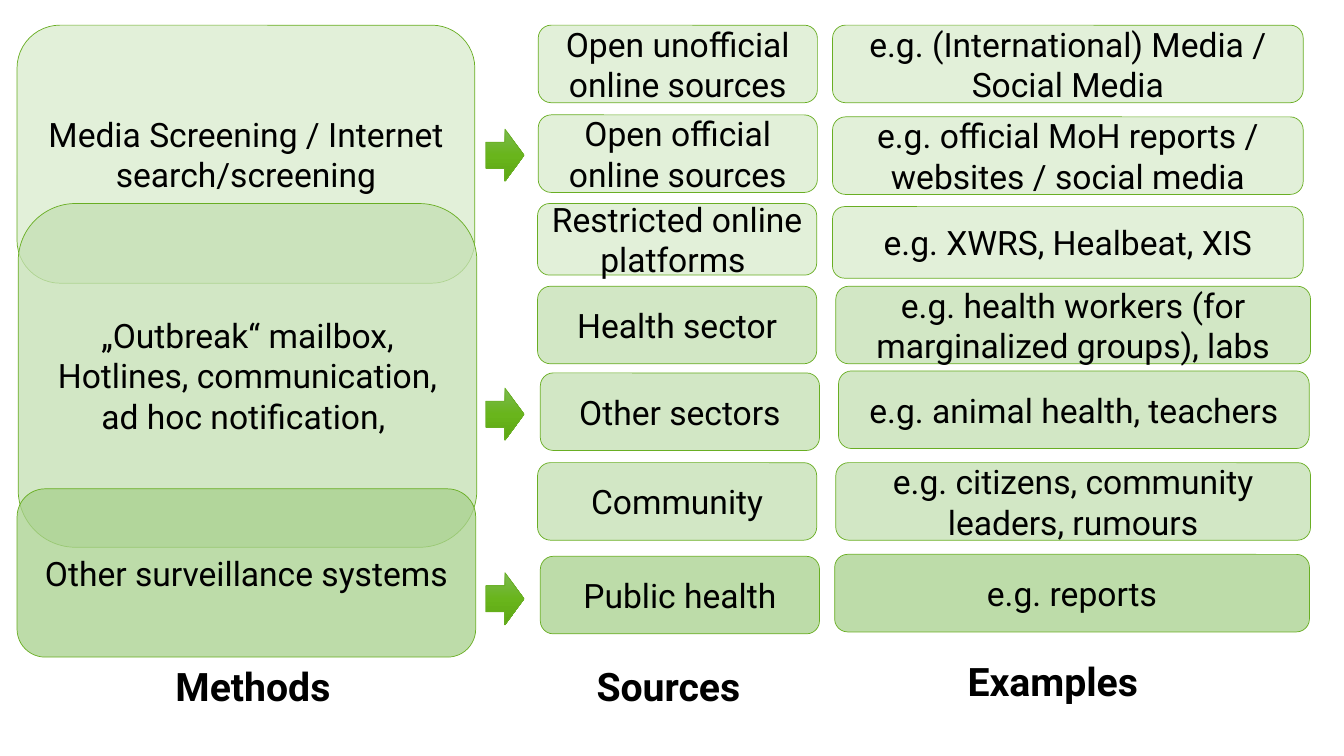
from copy import deepcopy
from dataclasses import dataclass

from lxml import etree
from pptx import Presentation
from pptx import util as u
from pptx.dml import color
from pptx.enum import shapes, text
from pptx.oxml import ns


@dataclass(frozen=True)
class Theme:
    font: str = "Roboto"
    ink: str = "000000"
    line: str = "69AE23"
    media: tuple = ("E2F0D9", 100)
    mailbox: tuple = ("C5E0B4", 76)
    systems: tuple = ("A9D18E", 76)
    arrow: tuple = ("7BB950", "69B51C", "5DA713")
    body: int = 24
    heading: int = 28


theme = Theme()
rgb = color.RGBColor.from_string


def add_text(s, wording, size, align, bold=False):
    tf = s.text_frame
    tf.word_wrap = True
    p = tf.paragraphs[0]
    p.alignment = align
    r = p.add_run()
    r.text = wording
    r.font.name = theme.font
    r.font.size = u.Pt(size)
    r.font.bold = bold
    r.font.color.rgb = rgb(theme.ink)


def add_box(wording, box, tint):
    s = sp.add_shape(shapes.MSO_SHAPE.ROUNDED_RECTANGLE, *map(u.Pt, box))
    s.shadow.inherit = False
    s.fill.solid()
    s.fill.fore_color.rgb = rgb(tint[0])
    if tint[1] < 100:
        clr = s.element.spPr.find(ns.qn("a:solidFill")).find(ns.qn("a:srgbClr"))
        etree.SubElement(clr, ns.qn("a:alpha"), val=str(tint[1] * 1000))
    s.line.color.rgb = rgb(theme.line)
    s.line.width = u.Pt(0.5)
    s.text_frame.vertical_anchor = text.MSO_ANCHOR.MIDDLE
    add_text(s, wording, theme.body, text.PP_ALIGN.CENTER)


prs = Presentation()
prs.slide_width, prs.slide_height = u.Pt(960), u.Pt(540)
sp = prs.slides.add_slide(prs.slide_layouts[6]).shapes

methods = [
    ("Media Screening / Internet search/screening", (12.2, 18, 327, 184.3), theme.media, 92.2),
    ("„Outbreak“ mailbox, Hotlines, communication, ad hoc notification, ",
     (13, 145.4, 327.6, 245.5), theme.mailbox, 277.2),
    ("Other surveillance systems", (12.2, 349.2, 327.6, 120.2), theme.systems, 409),
]
for method, box, tint, arrow_top in methods:
    add_box(method, box, tint)
    s = sp.add_shape(shapes.MSO_SHAPE.RIGHT_ARROW, u.Pt(347), u.Pt(arrow_top), u.Pt(27.4), u.Pt(37.4))
    s.shadow.inherit = False
    s.line.color.rgb = rgb(theme.line)
    s.line.width = u.Pt(0.5)
    s.fill.gradient()
    s.fill.gradient_angle = 270
    stops = s.element.spPr.find(ns.qn("a:gradFill")).find(ns.qn("a:gsLst"))
    stops.insert(1, deepcopy(stops[0]))
    for i, (stop, shade) in enumerate(zip(s.fill.gradient_stops, theme.arrow)):
        stop.position = i / 2
        stop.color.rgb = rgb(shade)

rows = [
    ("Open unofficial online sources", 384.5, 18,
     "e.g. (International) Media / Social Media", 594.7, 18, 336.2, 55.4, theme.media),
    ("Open official online sources", 384.5, 82.1,
     "e.g. official MoH reports / websites / social media", 594.7, 83.5, 336.2, 55.4, theme.media),
    ("Restricted online platforms ", 384, 145.4,
     "e.g. XWRS, Healbeat, XIS", 594.7, 147.6, 336.2, 51.1, theme.media),
    ("Health sector", 384, 204.5,
     "e.g. health workers (for marginalized groups), labs", 597, 204.5, 339.1, 55.4, theme.mailbox),
    ("Other sectors", 386, 266.4,
     "e.g. animal health, teachers", 599, 265, 336.2, 55.4, theme.mailbox),
    ("Community", 384, 330.5,
     "e.g. citizens, community leaders, rumours", 597, 330.5, 339.1, 55.4, theme.mailbox),
    ("Public health", 386, 397.4,
     "e.g. reports", 596.2, 396, 339.1, 55.4, theme.systems),
]
for source, source_x, source_y, example, example_x, example_y, example_w, height, tint in rows:
    add_box(source, (source_x, source_y, 199.4, height), tint)
    add_box(example, (example_x, example_y, example_w, height), tint)

headings = [
    ("Methods", 113, 469.4, 135.4, text.PP_ALIGN.CENTER),
    ("Sources", 419, 469.4, 133.2, text.PP_ALIGN.LEFT),
    ("Examples", 684, 465.8, 176.4, text.PP_ALIGN.LEFT),
]
for heading, left, top, width, align in headings:
    s = sp.add_textbox(u.Pt(left), u.Pt(top), u.Pt(width), u.Pt(41))
    add_text(s, heading, theme.heading, align, bold=True)

prs.save("out.pptx")
